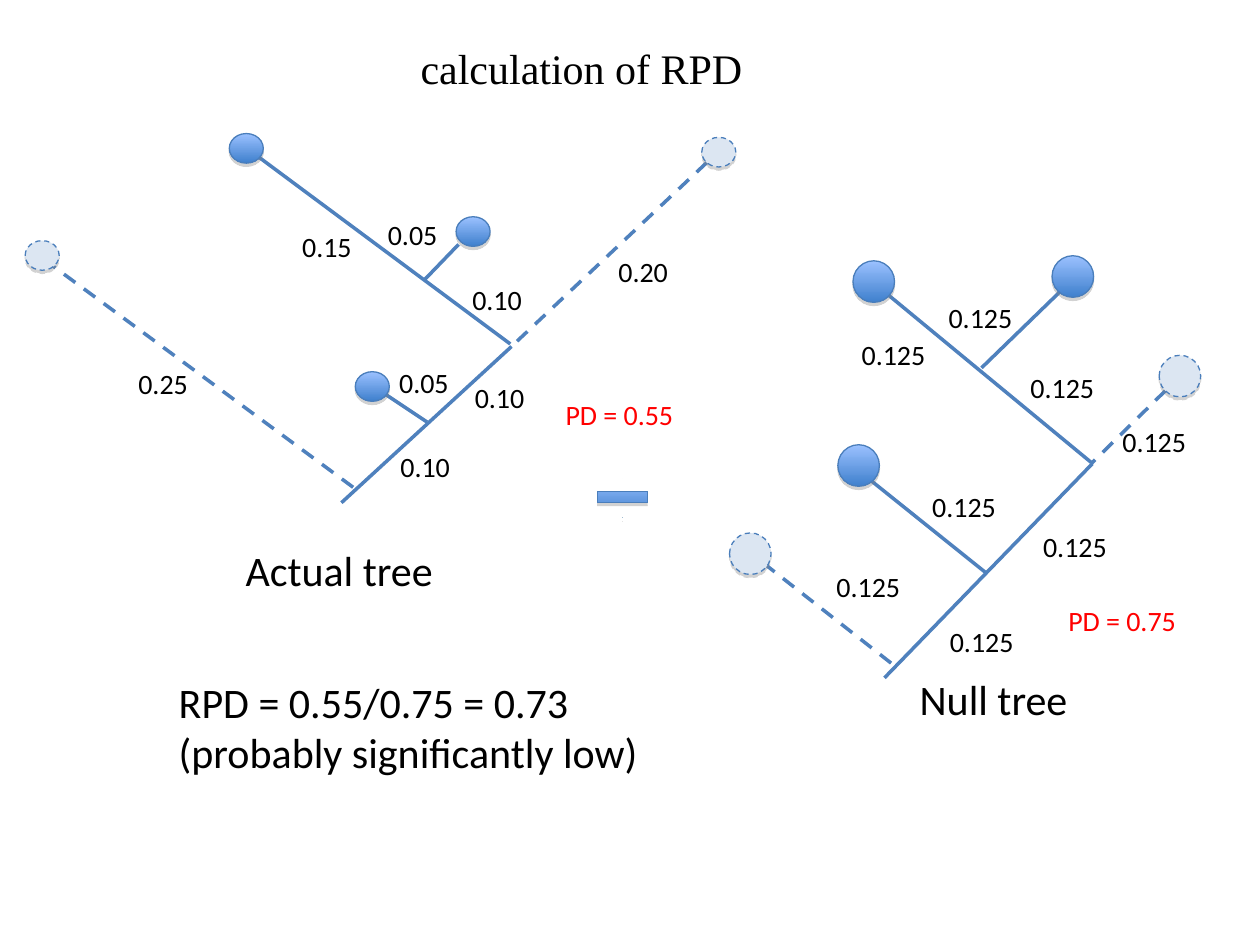
from dataclasses import dataclass

from lxml.etree import SubElement
from pptx import Presentation
from pptx.dml.color import RGBColor
from pptx.enum.dml import MSO_LINE_DASH_STYLE as Dash
from pptx.enum.shapes import MSO_CONNECTOR as Connector, MSO_SHAPE as Shape
from pptx.enum.text import MSO_AUTO_SIZE as AutoSize
from pptx.oxml.ns import qn
from pptx.util import Inches, Pt


@dataclass(frozen=True)
class Theme:
    ink: str = "000000"
    result: str = "FF0000"
    branch: str = "4F81BD"
    outline: str = "4A7EBB"
    absent: str = "DCE6F2"
    gradient: tuple = ("9BC1FF", "3F80CD")
    shadow: str = "808080"
    body_font: str = "Calibri"
    title_font: str = "Times New Roman"
    label_size: int = 16
    heading_size: int = 24
    branch_width: float = 2
    outline_width: float = 0.75
    sign_width: float = 0.25


THEME = Theme()

ACTUAL_TREE = {
    "tip_size": (0.27, 0.235),
    "branches": [
        (3.06, 3.13, 3.39, 3.35),
        (1.95, 1.17, 4.05, 2.73),
        (4.06, 2.75, 2.71, 3.99),
        (3.64, 1.94, 3.36, 2.23),
    ],
    "absent_branches": [(0.35, 2.06, 2.82, 3.88), (5.61, 1.29, 4.07, 2.74)],
    "tips": [(2.82, 2.95), (3.62, 1.72), (1.82, 1.06)],
    "absent_tips": [(5.57, 1.09), (0.2, 1.91)],
    "label_width": 0.6,
    "lengths": [
        ("0.10", 3.08, 3.52),
        ("0.10", 3.67, 2.97),
        ("0.25", 1, 2.86),
        ("0.15", 2.3, 1.77),
        ("0.10", 3.65, 2.19),
        ("0.20", 4.81, 1.97),
        ("0.05", 2.98, 1.68),
        ("0.05", 3.07, 2.85),
    ],
    "diversity": ("PD = 0.55", 4.39, 3.11),
    "name": ("Actual tree", 1.85, 4.27, 1.69),
}

NULL_TREE = {
    "tip_size": (0.33, 0.33),
    "branches": [
        (6.87, 3.78, 7.83, 4.55),
        (6.94, 2.25, 8.66, 3.67),
        (8.67, 3.68, 7.02, 5.38),
        (8.46, 2.27, 7.79, 2.92),
    ],
    "absent_branches": [(6.06, 4.47, 7.12, 5.3), (9.25, 3.1, 8.66, 3.68)],
    "tips": [(6.65, 3.53), (8.35, 2.03), (6.77, 2.07)],
    "absent_tips": [(9.2, 2.82), (5.79, 4.23)],
    "label_width": 0.72,
    "lengths": [
        ("0.125", left, top)
        for left, top in [
            (6.54, 4.47), (7.44, 4.91), (8.18, 4.15), (7.3, 3.84),
            (7.43, 2.34), (8.08, 2.89), (8.81, 3.32), (6.74, 2.63),
        ]
    ],
    "diversity": ("PD = 0.75", 8.38, 4.74),
    "name": ("Null tree", 7.2, 5.3, 1.38),
}


def apply_format(target, values):
    for name, value in values.items():
        setattr(target, name, value)


def add_text(slide, lines, left, top, width, height,
             size=THEME.label_size, color=THEME.ink, font=THEME.body_font):
    box = slide.shapes.add_textbox(*map(Inches, (left, top, width, height)))
    apply_format(box.text_frame, {"word_wrap": False, "auto_size": AutoSize.SHAPE_TO_FIT_TEXT})
    box.text_frame.text = "\n".join(lines)
    for paragraph in box.text_frame.paragraphs:
        apply_format(paragraph.font, {"name": font, "size": Pt(size)})
        paragraph.font.color.rgb = RGBColor.from_string(color)


def add_branch(slide, ends, absent=False):
    branch = slide.shapes.add_connector(Connector.STRAIGHT, *map(Inches, ends))
    branch.line.color.rgb = RGBColor.from_string(THEME.branch)
    branch.line.width = Pt(THEME.branch_width)
    if absent:
        branch.line.dash_style = Dash.DASH
    SubElement(branch._element.spPr, qn("a:effectLst"))


def add_shadow(shape):
    shape.shadow.inherit = False
    effects = shape._element.spPr.find(qn("a:effectLst"))
    shadow = SubElement(effects, qn("a:outerShdw"), blurRad="0", dist=str(Pt(1.8)),
                        dir="5400000", rotWithShape="0")
    color = SubElement(shadow, qn("a:srgbClr"), val=THEME.shadow)
    SubElement(color, qn("a:alpha"), val="35000")


def style_figure(figure, line_width, absent=False):
    if absent:
        figure.fill.solid()
        figure.fill.fore_color.rgb = RGBColor.from_string(THEME.absent)
        figure.line.dash_style = Dash.DASH
    else:
        figure.fill.gradient()
        figure.fill.gradient_angle = 270
        for position, (stop, color) in enumerate(zip(figure.fill.gradient_stops, THEME.gradient)):
            stop.position = position
            stop.color.rgb = RGBColor.from_string(color)
    figure.line.color.rgb = RGBColor.from_string(THEME.outline)
    figure.line.width = Pt(line_width)
    add_shadow(figure)


def add_tip(slide, bounds, absent):
    tip = slide.shapes.add_shape(Shape.OVAL, *map(Inches, bounds))
    style_figure(tip, THEME.outline_width, absent)


def add_tree(slide, tree):
    for prefix, absent in (("", False), ("absent_", True)):
        for ends in tree[prefix + "branches"]:
            add_branch(slide, ends, absent)
    for prefix, absent in (("", False), ("absent_", True)):
        for corner in tree[prefix + "tips"]:
            add_tip(slide, corner + tree["tip_size"], absent)
    for length, left, top in tree["lengths"]:
        add_text(slide, [length], left, top, tree["label_width"], 0.37)
    diversity, left, top = tree["diversity"]
    add_text(slide, [diversity], left, top, 1.08, 0.37, color=THEME.result)
    name, left, top, width = tree["name"]
    add_text(slide, [name], left, top, width, 0.5, THEME.heading_size)


def add_division_sign(slide):
    builder = slide.shapes.build_freeform(Inches(4.74), Inches(3.9), scale=1.0)
    bar = [(5.14, 3.9), (5.14, 3.99), (4.74, 3.99)]
    builder.add_line_segments([tuple(map(Inches, point)) for point in bar])
    for top in (3.77, 4.11):
        dot = Inches(4.94), Inches(top)
        builder.move_to(*dot)
        builder.add_line_segments([dot])
    style_figure(builder.convert_to_shape(), THEME.sign_width)


def main():
    presentation = Presentation()
    apply_format(presentation, {"slide_width": Inches(10), "slide_height": Inches(7.5)})
    slide = presentation.slides.add_slide(presentation.slide_layouts[6])
    add_text(slide, ["calculation of RPD"], 3.24, 0.29, 2.84, 0.5,
             THEME.heading_size, font=THEME.title_font)
    for tree in (ACTUAL_TREE, NULL_TREE):
        add_tree(slide, tree)
    add_division_sign(slide)
    add_text(slide, ["RPD = 0.55/0.75 = 0.73", "(probably significantly low)"],
             1.32, 5.32, 3.85, 0.9, THEME.heading_size)
    presentation.save("out.pptx")


if __name__ == "__main__":
    main()
